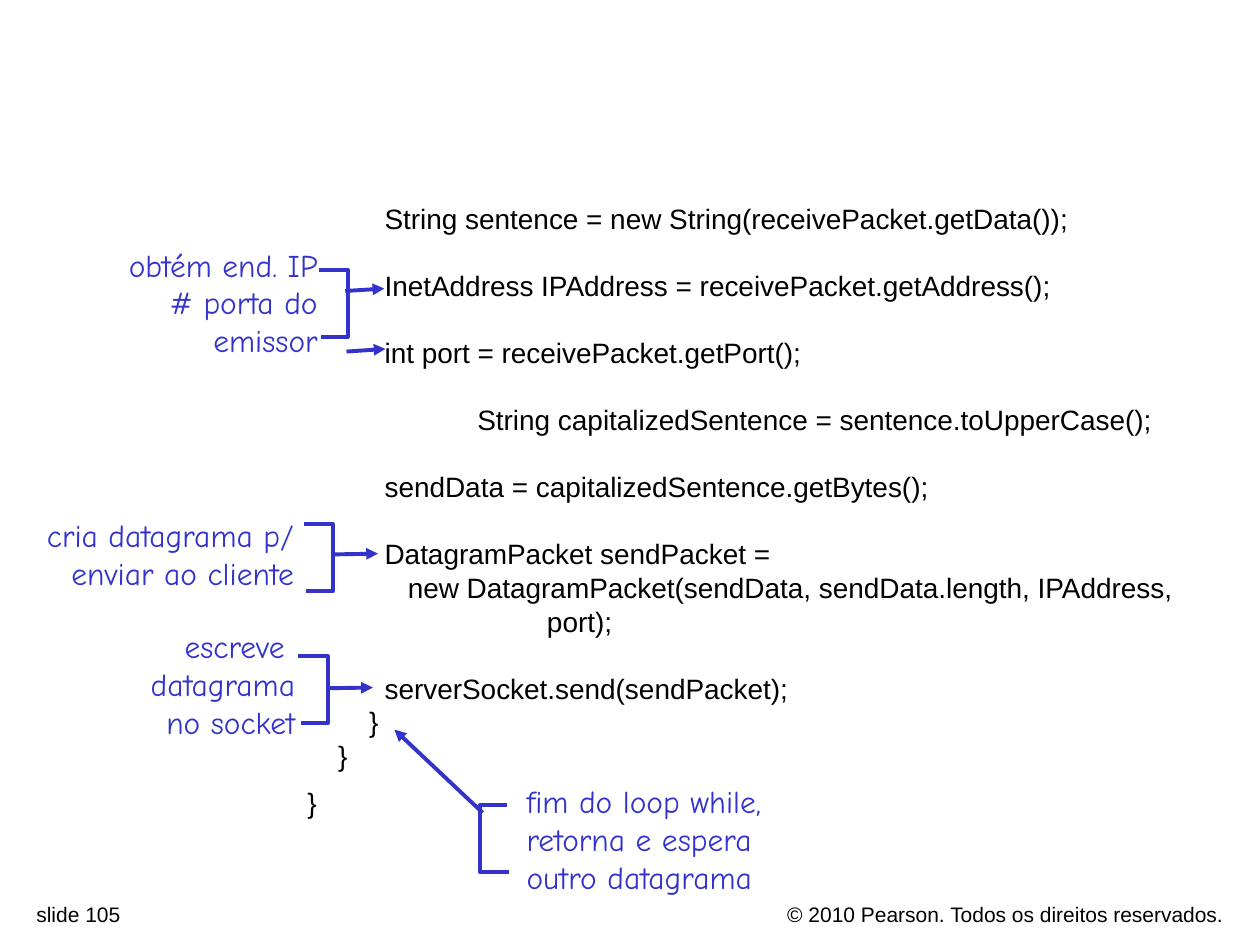
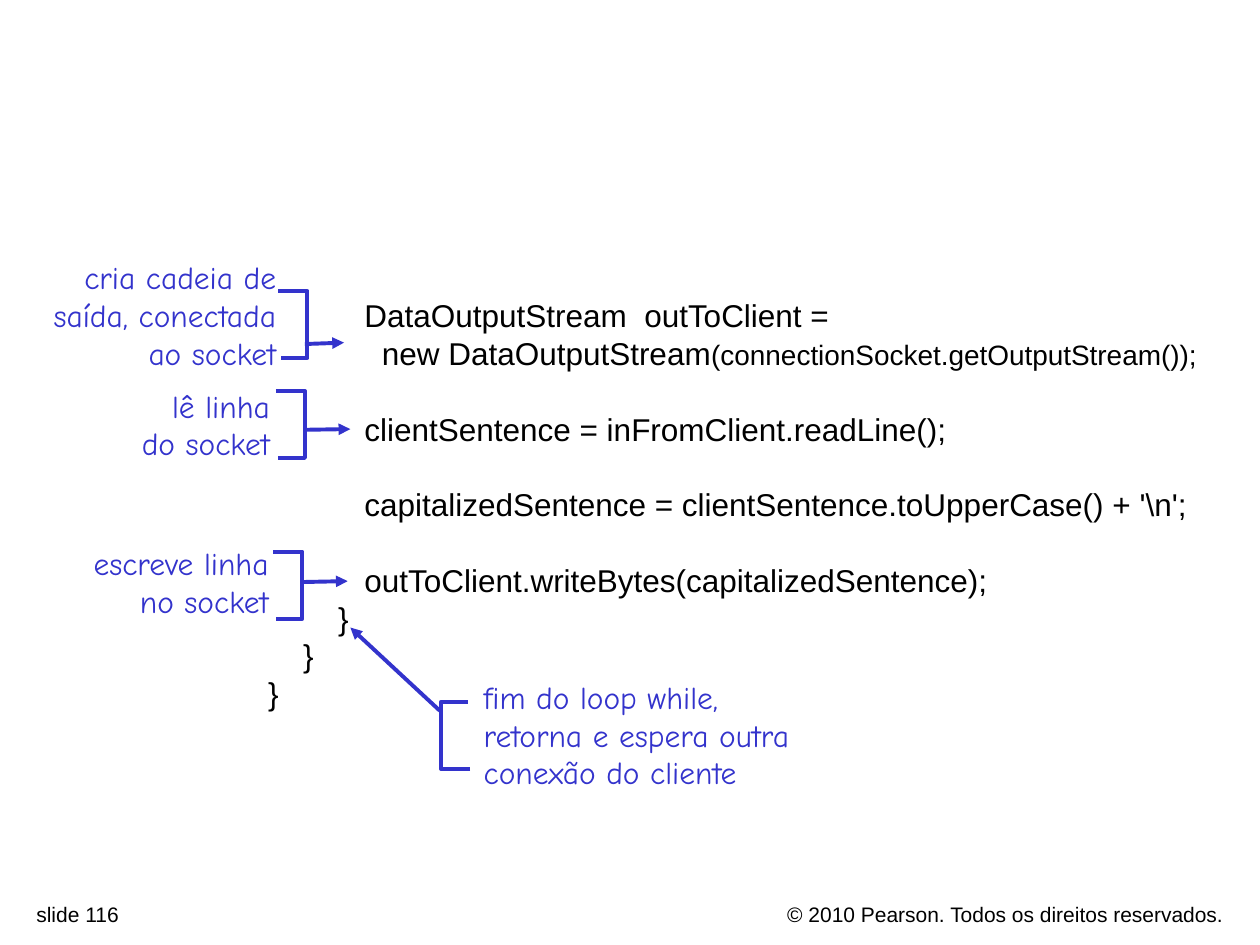
from lxml import etree
from pptx import Presentation
from pptx.dml.color import RGBColor
from pptx.enum import shapes, text
from pptx.oxml import ns
from pptx.util import Pt

INK = {"code": "000000", "note": "3333CC"}
FONT = {"code": "Arial", "note": "Comic Neue"}
LEAD = 1.2                      # line height per font size
LEFT, RIGHT = text.PP_ALIGN.LEFT, text.PP_ALIGN.RIGHT
NOTE_W = 164


class Deck:
    def __init__(self):
        self.prs = Presentation()
        self.prs.slide_width, self.prs.slide_height = Pt(720), Pt(540)
        self.slide = None

    def page(self, num):
        """Start a slide with its footer."""
        self.slide = self.prs.slides.add_slide(self.prs.slide_layouts[6])
        rights = "© 2010 Pearson. Todos os direitos reservados."
        self.box(338.4, 511.9, 367.9, 17.3, 12, [(0, rights)], align=RIGHT)
        self.box(13.7, 511.9, 253.4, 17.3, 12, [(0, f"slide {num}")])

    def box(self, x, y, w, h, size, rows, kind="code", align=LEFT):
        """Each row: blank lines before it, its text, then any (text, size)."""
        frame = self.slide.shapes.add_textbox(Pt(x), Pt(y), Pt(w), Pt(h)).text_frame
        frame.word_wrap = True
        for i, (gap, line, *more) in enumerate(rows):
            para = frame.add_paragraph() if i else frame.paragraphs[0]
            para.alignment = align
            para.line_spacing = Pt(size * LEAD)
            if gap:
                para.space_before = Pt(gap * size * LEAD)
            for words, pts in [(line, size), *more]:
                run = para.add_run()
                run.text = words
                run.font.size = Pt(pts)
                run.font.name = FONT[kind]
                run.font.color.rgb = RGBColor.from_string(INK[kind])

    def code(self, x, y, size, rows):
        lines = sum(1 + row[0] for row in rows)
        self.box(x, y, 715 - x, lines * size * LEAD + 7.2, size, rows)

    def note(self, edge, y, *lines, align=RIGHT):
        """Label whose right (or left) edge is given."""
        x, w = (edge - NOTE_W, NOTE_W) if align == RIGHT else (edge, 200)
        rows = [(0, line) for line in lines]
        self.box(x, y, w, len(lines) * 18 * LEAD + 7.2, 18, rows, "note", align)

    def stroke(self, line):
        line.color.rgb = RGBColor.from_string(INK["note"])
        line.width = Pt(2.25)

    def brace(self, x, y, flip=False):
        w, h, foot = 16.6, 38.3, 1.4
        pts = [(0, 0), (w, 0), (w, h), (foot, h)]
        if flip:
            pts = [(w - a, h - b) for a, b in pts]
        pts = [(Pt(x + a), Pt(y + b)) for a, b in pts]
        pen = self.slide.shapes.build_freeform(*pts[0])
        pen.add_line_segments(pts[1:], close=False)
        shape = pen.convert_to_shape()
        shape.shadow.inherit = False
        shape.fill.background()
        self.stroke(shape.line)

    def arrow(self, *ends):
        link = self.slide.shapes.add_connector(
            shapes.MSO_CONNECTOR.STRAIGHT, *map(Pt, ends))
        self.stroke(link.line)
        etree.SubElement(link.line._get_or_add_ln(), ns.qn("a:tailEnd"),
                         type="triangle")
        etree.SubElement(link._element.spPr, ns.qn("a:effectLst"))


def main():
    deck = Deck()

    # UDP server: code
    deck.page(105)
    deck.code(168.5, 111.4, 16, [
        (0, "          String sentence = new String(receivePacket.getData());"),
        (1, "          InetAddress IPAddress = receivePacket.getAddress();"),
        (1, "          int port = receivePacket.getPort();"),
        (1, "                      String capitalizedSentence = sentence.toUpperCase();"),
        (1, "          sendData = capitalizedSentence.getBytes();"),
        (1, "          DatagramPacket sendPacket ="),
        (0, "             new DatagramPacket(sendData, sendData.length, IPAddress,"),
        (0, "                               port);"),
        (1, "          serverSocket.send(sendPacket);"),
        (0, "        }"),
        (0, "    }"),
        (0.4, "}"),
    ])

    # UDP server: notes
    deck.note(188.6, 136.8, "obtém end. IP", "# porta do", "emissor")
    deck.brace(182.2, 154.1)
    deck.arrow(197.3, 166.3, 219.6, 164.9)
    deck.arrow(198, 200.9, 220.3, 199.4)
    deck.note(175, 291.6, "cria datagrama p/", "enviar ao cliente")
    deck.brace(173.5, 299.5)
    deck.arrow(190.1, 316.8, 216, 316.4)
    deck.note(175.7, 355, "escreve ", "datagrama", "no socket")
    deck.brace(170.6, 375.1)
    deck.arrow(187.2, 393.3, 213.1, 392.9)
    deck.note(293.8, 443.5, "fim do loop while,", "retorna e espera",
              "outro datagrama", align=LEFT)
    deck.brace(274.3, 460, flip=True)
    deck.arrow(275.8, 464.4, 225.4, 416.9)

    # TCP server: code
    deck.page(116)
    deck.code(146.2, 165.8, 18, [
        (0, "           DataOutputStream  outToClient ="),
        (0, "             new DataOutputStream",
         ("(connectionSocket.getOutputStream());", 16)),
        (1, "           clientSentence = inFromClient.readLine();"),
        (1, "           capitalizedSentence = clientSentence.toUpperCase() + '\\n';"),
        (1, "           outToClient.writeBytes(capitalizedSentence);"),
        (0, "        }"),
        (0, "    }"),
        (0, "}"),
    ])

    # TCP server: notes
    deck.note(164.9, 144, "cria cadeia de", "saída, conectada", "ao socket")
    deck.brace(159.1, 166.3)
    deck.arrow(174.2, 196.6, 196.6, 195.8)
    deck.note(161.3, 217.4, "lê linha", "do socket")
    deck.brace(157.7, 223.4)
    deck.arrow(174.2, 245.6, 200.2, 245.2)
    deck.note(160.6, 307.4, "escreve linha", "no socket")
    deck.brace(156.2, 315.2)
    deck.arrow(172.8, 332.6, 198.7, 332.1)
    deck.note(269.3, 383.8, "fim do loop while,", "retorna e espera outra",
              "conexão do cliente", align=LEFT)
    deck.brace(252, 401, flip=True)
    deck.arrow(251.3, 406.1, 200.2, 358.6)

    deck.prs.save("out.pptx")


if __name__ == "__main__":
    main()
